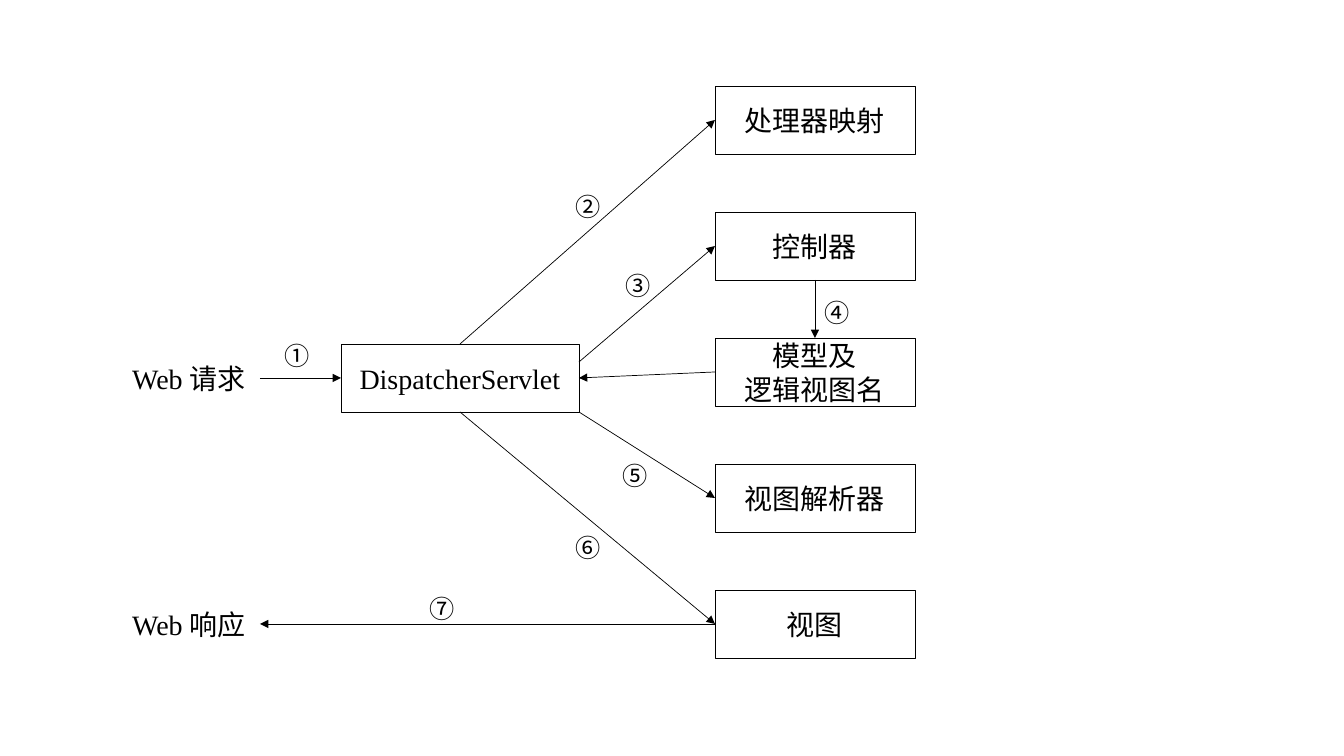
from lxml import etree
from pptx import Presentation
from pptx.dml.color import RGBColor
from pptx.enum.shapes import MSO_CONNECTOR, MSO_SHAPE
from pptx.enum.text import MSO_ANCHOR, PP_ALIGN
from pptx.oxml.ns import qn
from pptx.util import Pt

PX = 914400 / 100.8
COLORS = {"ink": "000000", "paper": "FFFFFF"}
LATIN, CJK = "Times New Roman", "Noto Sans CJK SC"
TOP, LEFT, BOTTOM, RIGHT = range(4)
BOX_H = 68

prs = Presentation()
prs.slide_width, prs.slide_height = round(1344 * PX), round(756 * PX)
s = prs.slides.add_slide(prs.slide_layouts[6])


def add_text(text, x, y, w, h, size=20, font=LATIN, boxed=True, border=True):
    area = [round(v * PX) for v in (x, y, w, h)]
    if boxed:
        sp = s.shapes.add_shape(MSO_SHAPE.RECTANGLE, *area)
        sp.shadow.inherit = False
        sp.fill.solid()
        sp.fill.fore_color.rgb = RGBColor.from_string(COLORS["paper"])
        if border:
            sp.line.color.rgb = RGBColor.from_string(COLORS["ink"])
            sp.line.width = Pt(0.5)
        else:
            sp.line.fill.background()
    else:
        sp = s.shapes.add_textbox(*area)
    tf = sp.text_frame
    tf.word_wrap = True
    tf.vertical_anchor = MSO_ANCHOR.MIDDLE
    tf.margin_left = tf.margin_right = tf.margin_top = tf.margin_bottom = 0
    tf.text = text
    for p in tf.paragraphs:
        p.alignment = PP_ALIGN.CENTER
        for r in p.runs:
            r.font.size = Pt(size)
            r.font.name = font
            r.font.color.rgb = RGBColor.from_string(COLORS["ink"])
            etree.SubElement(r.font._element, qn("a:ea")).set("typeface", CJK)
    return sp


request = add_text("Web 请求", 118, 344, 142, BOX_H, border=False)
response = add_text("Web 响应", 118, 590, 142, BOX_H, border=False)
dispatcher = add_text("DispatcherServlet", 341, 344, 238, BOX_H)

parts = ["处理器映射", "控制器", "模型及\n逻辑视图名", "视图解析器", "视图"]
mapping, controller, model, resolver, view = [
    add_text(name, 715, 86 + 126 * i, 200, BOX_H) for i, name in enumerate(parts)
]

arrows = [
    (request, RIGHT, dispatcher, LEFT),
    (dispatcher, TOP, mapping, LEFT),
    ((579, 362), None, controller, LEFT),
    (controller, BOTTOM, model, TOP),
    (model, LEFT, dispatcher, RIGHT),
    ((579, 412), None, resolver, LEFT),
    (dispatcher, BOTTOM, view, LEFT),
    (view, LEFT, response, RIGHT),
]
for start, start_side, end, end_side in arrows:
    x, y = (0, 0) if start_side is not None else [round(v * PX) for v in start]
    line = s.shapes.add_connector(MSO_CONNECTOR.STRAIGHT, x, y, x, y)
    if start_side is not None:
        line.begin_connect(start, start_side)
    line.end_connect(end, end_side)
    line.line.color.rgb = RGBColor.from_string(COLORS["ink"])
    line.line.width = Pt(0.5)
    etree.SubElement(line.line._get_or_add_ln(), qn("a:tailEnd")).set("type", "triangle")
    etree.SubElement(line._element.spPr, qn("a:effectLst"))

steps = [(276, 335), (567, 186), (617, 265), (816, 292), (614, 455), (567, 527), (421, 588)]
for number, (x, y) in zip("①②③④⑤⑥⑦", steps):
    add_text(number, x, y, 42, 40, size=18, font=CJK, boxed=False)

prs.save("out.pptx")
